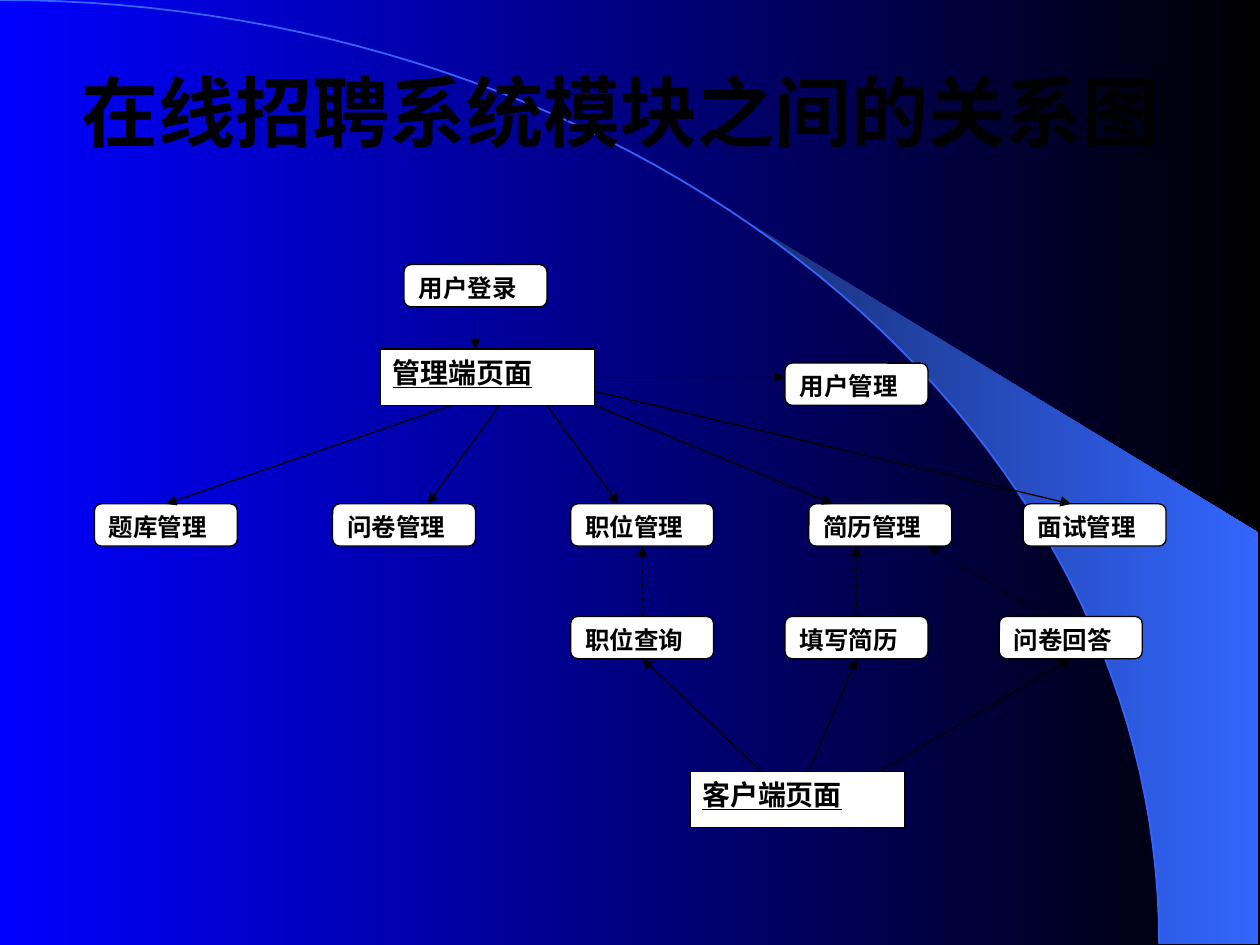
import math
import pptx
import pptx.dml.color
import pptx.enum.dml
import pptx.enum.shapes
import pptx.enum.text
import pptx.oxml
import pptx.oxml.ns
import pptx.util
from lxml import etree

WIDTH, HEIGHT = 10, 7.5
COLUMN, ROW = 0.189, 0.1117
GRID_LEFT, GRID_TOP = 0.75, 2.1
ARC_WIDTH, ARC_HEIGHT = 9.2, 7.49
CRESCENT_START = 0.694
ARC_STEPS = 60

TITLE = "在线招聘系统模块之间的关系图 "
MODULES = [
    ("用户登录", 13, 0), ("用户管理", 29, 7),
    ("题库管理", 0, 17), ("问卷管理", 10, 17), ("职位管理", 20, 17),
    ("简历管理", 30, 17), ("面试管理", 39, 17),
    ("职位查询", 20, 25), ("填写简历", 29, 25), ("问卷回答", 38, 25),
]
PAGES = [("管理端页面", 12, 6), ("客户端页面", 25, 36)]
ARROWS = [
    ((28, 36), (23, 28)), ((30, 36), (32, 28)), ((33, 36), (41, 28)),
    ((15, 10), (3, 17)), ((17, 10), (14, 17)), ((19, 10), (22, 17)),
    ((21, 8), (29, 8)), ((21, 10), (31, 17)), ((21, 9), (41, 17)),
    ((16, 3), (16, 6)),
]
DASH = pptx.enum.dml.MSO_LINE.DASH
DASH_DOT = pptx.enum.dml.MSO_LINE.DASH_DOT
DASHED_ARROWS = [
    ((23, 25), (23, 20), DASH_DOT),
    ((32, 25), (32, 20), DASH),
    ((40, 25), (35, 20), DASH),
]
ROUNDED = pptx.enum.shapes.MSO_SHAPE.ROUNDED_RECTANGLE
RECTANGLE = pptx.enum.shapes.MSO_SHAPE.RECTANGLE
ALIGN = pptx.enum.text.PP_ALIGN
ANCHOR = pptx.enum.text.MSO_ANCHOR


def color(value):
    return pptx.dml.color.RGBColor.from_string(value)


def inches(*values):
    return [pptx.util.Inches(value) for value in values]


def grid_point(column, row):
    return inches(GRID_LEFT + column * COLUMN, GRID_TOP + row * ROW)


def fill_gradient(fill, start, end):
    fill.gradient()
    fill.gradient_angle = 0
    for stop, value in zip(fill.gradient_stops, (start, end)):
        stop.color.rgb = color(value)


def set_line(line, value, width):
    line.color.rgb = color(value)
    line.width = pptx.util.Pt(width)


def arc_points(start):
    angles = [start + (math.pi / 2 - start) * step / ARC_STEPS for step in range(ARC_STEPS + 1)]
    return [inches(ARC_WIDTH * math.sin(angle), ARC_HEIGHT * (1 - math.cos(angle))) for angle in angles]


def add_outline(slide, points, close):
    builder = slide.shapes.build_freeform(*points[0])
    builder.add_line_segments(points[1:], close=close)
    shape = builder.convert_to_shape()
    shape.shadow.inherit = False
    return shape


def write(shape, text, size, align, anchor, underline=None):
    frame = shape.text_frame
    frame.word_wrap = True
    frame.vertical_anchor = anchor
    paragraph = frame.paragraphs[0]
    paragraph.alignment = align
    run = paragraph.add_run()
    run.text = text
    run.font.name = "Arial"
    run.font.size = pptx.util.Pt(size)
    run.font.bold = True
    run.font.underline = underline
    run.font.color.rgb = color("000000")


def add_box(slide, kind, column, row, columns, rows):
    shape = slide.shapes.add_shape(kind, *grid_point(column, row), *inches(columns * COLUMN, rows * ROW))
    shape.shadow.inherit = False
    shape.fill.solid()
    shape.fill.fore_color.rgb = color("FFFFFF")
    set_line(shape.line, "000000", 0.75)
    return shape


def add_arrow(slide, start, end, dash=None):
    arrow = slide.shapes.add_connector(
        pptx.enum.shapes.MSO_CONNECTOR.STRAIGHT, *grid_point(*start), *grid_point(*end))
    set_line(arrow.line, "000000", 0.75)
    if dash:
        arrow.line.dash_style = dash
    name = pptx.oxml.ns.qn
    etree.SubElement(arrow.line._get_or_add_ln(), name("a:tailEnd"), type="triangle")
    etree.SubElement(arrow._element.spPr, name("a:effectLst"))


def add_backdrop(slide):
    fill_gradient(slide.background.fill, "0000FF", "000000")
    corners = [inches(9.99, ARC_HEIGHT), inches(9.99, 4.23)]
    crescent = add_outline(slide, arc_points(CRESCENT_START) + corners, True)
    fill_gradient(crescent.fill, "182F76", "3366FF")
    crescent.line.fill.background()
    arc = add_outline(slide, arc_points(0), False)
    arc.fill.background()
    set_line(arc.line, "3366FF", 1)


def main():
    presentation = pptx.Presentation()
    presentation.slide_width, presentation.slide_height = inches(WIDTH, HEIGHT)
    slide = presentation.slides.add_slide(presentation.slide_layouts[6])
    add_backdrop(slide)
    title = slide.shapes.add_textbox(*inches(0.5, 0, 9, 1.75))
    write(title, TITLE, 44, ALIGN.CENTER, ANCHOR.MIDDLE)
    for text, column, row in MODULES:
        box = add_box(slide, ROUNDED, column, row, 6, 3)
        write(box, text, 14, ALIGN.JUSTIFY, ANCHOR.TOP)
    for text, column, row in PAGES:
        box = add_box(slide, RECTANGLE, column, row, 9, 4)
        write(box, text, 16, ALIGN.LEFT, ANCHOR.TOP, True)
    for arrow in ARROWS + DASHED_ARROWS:
        add_arrow(slide, *arrow)
    presentation.save("out.pptx")


if __name__ == "__main__":
    main()
